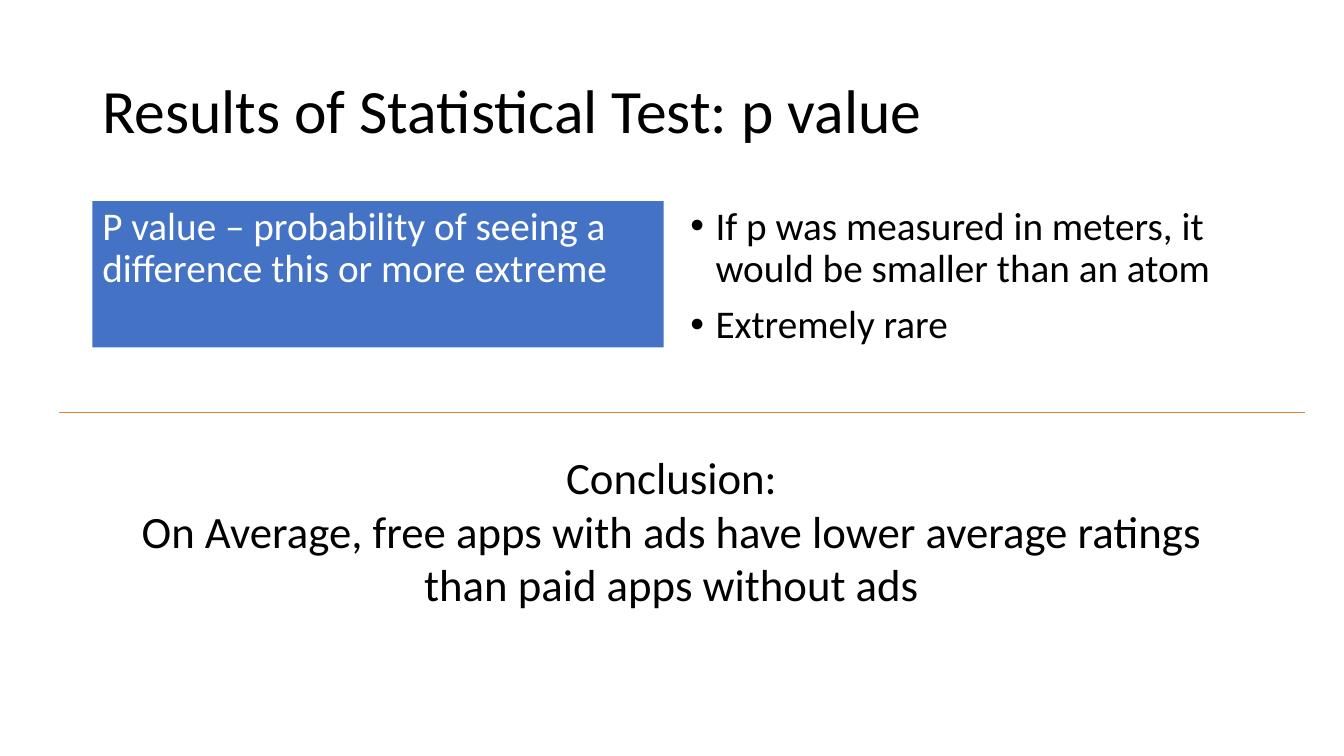
from lxml import etree
from pptx import Presentation
from pptx.dml.color import RGBColor
from pptx.enum.shapes import MSO_CONNECTOR, MSO_SHAPE
from pptx.enum.text import MSO_ANCHOR, PP_ALIGN
from pptx.oxml.ns import qn
from pptx.util import Pt

BLACK = RGBColor(0x00, 0x00, 0x00)
WHITE = RGBColor(0xFF, 0xFF, 0xFF)
BLUE = RGBColor(0x44, 0x72, 0xC4)
ORANGE = RGBColor(0xED, 0x7D, 0x31)
FONT = "Calibri"
TOP, MIDDLE = MSO_ANCHOR.TOP, MSO_ANCHOR.MIDDLE
LEFT, CENTER = PP_ALIGN.LEFT, PP_ALIGN.CENTER
RECT = MSO_SHAPE.RECTANGLE
STRAIGHT = MSO_CONNECTOR.STRAIGHT


def add_bullet(para):
    props = para._p.get_or_add_pPr()
    props.set("marL", str(Pt(18)))
    props.set("indent", str(Pt(-18)))
    etree.SubElement(props, qn("a:buFont"), typeface="Arial")
    etree.SubElement(props, qn("a:buChar"), char="•")


def write_text(shape, lines, size, color=BLACK, align=LEFT, anchor=TOP,
               spacing=0.9, before=0, bullet=False):
    frame = shape.text_frame
    frame.word_wrap = True
    frame.vertical_anchor = anchor
    for i, line in enumerate(lines):
        para = frame.add_paragraph() if i else frame.paragraphs[0]
        para.alignment = align
        para.line_spacing = spacing
        para.space_before = Pt(before)
        if bullet:
            add_bullet(para)
        run = para.add_run()
        run.text = line
        run.font.name = FONT
        run.font.size = Pt(size)
        run.font.color.rgb = color


def add_text(slide, box, lines, size, **style):
    shape = slide.shapes.add_textbox(*map(Pt, box))
    write_text(shape, lines, size, **style)


def add_panel(slide, box, lines, size, fill, **style):
    shape = slide.shapes.add_shape(RECT, *map(Pt, box))
    shape.shadow.inherit = False
    shape.fill.solid()
    shape.fill.fore_color.rgb = fill
    shape.line.fill.background()
    write_text(shape, lines, size, **style)


def add_rule(slide, left, right, top, color):
    rule = slide.shapes.add_connector(
        STRAIGHT, Pt(left), Pt(top), Pt(right), Pt(top))
    rule.line.color.rgb = color
    rule.line.width = Pt(1)
    etree.SubElement(rule._element.spPr, qn("a:effectLst"))


def main():
    deck = Presentation()
    deck.slide_width, deck.slide_height = Pt(960), Pt(540)
    slide = deck.slides.add_slide(deck.slide_layouts[6])

    add_text(slide, (66, 28.75, 828, 104.4),
             ["Results of Statistical Test: p value"], 44, anchor=MIDDLE)
    add_panel(slide, (66, 143.75, 408, 104.4),
              ["P value – probability of seeing a difference "
               "this or more extreme"],
              28, BLUE, color=WHITE, before=10)
    add_text(slide, (486, 143.75, 408, 150.5),
             ["If p was measured in meters, it would be smaller than an atom",
              "Extremely rare"],
             28, before=10, bullet=True)
    add_text(slide, (74, 317.5, 811.5, 124),
             ["Conclusion:",
              "On Average, free apps with ads have lower average ratings "
              "than paid apps without ads"],
             32, align=CENTER, spacing=1.0)
    add_rule(slide, 42, 932.5, 294.5, ORANGE)

    deck.save("out.pptx")


if __name__ == "__main__":
    main()
